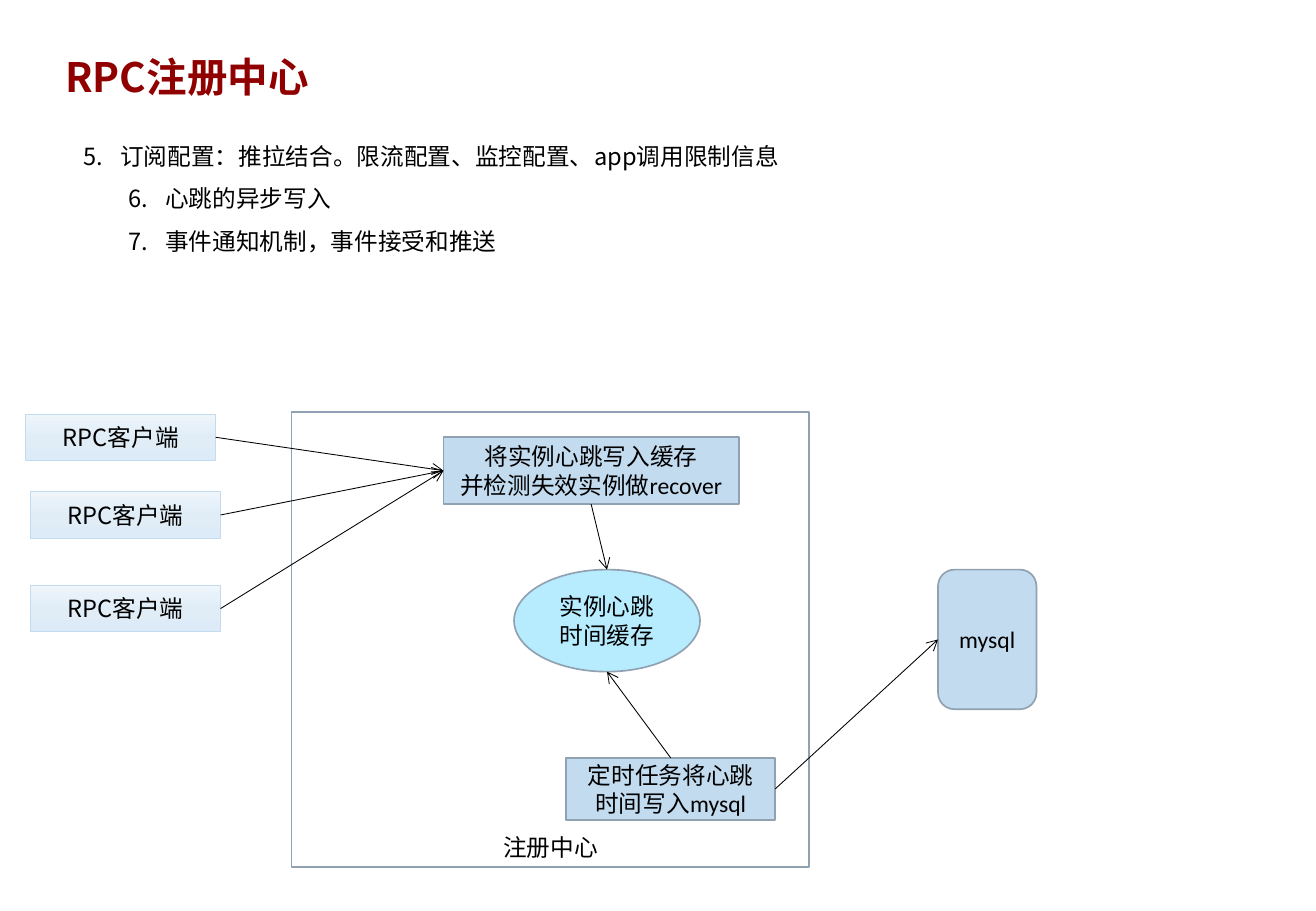
import copy
from dataclasses import dataclass
from typing import Any, Optional

import pptx
import pptx.dml.color
import pptx.enum.dml
import pptx.enum.shapes
import pptx.enum.text
import pptx.oxml
import pptx.oxml.ns
import pptx.util

KIND = pptx.enum.shapes.MSO_SHAPE
ALIGN = pptx.enum.text.PP_ALIGN
ANCHOR = pptx.enum.text.MSO_ANCHOR
TOP, LEFT, BOTTOM, RIGHT = range(4)
WIDE, HIGH = pptx.util.Inches(10.83), pptx.util.Inches(7.5)


@dataclass(frozen=True)
class Theme:
    title: str = "900000"
    ink: str = "000000"
    edge: str = "90A2B1"
    pale: str = "C3DBEF"
    cache: str = "B7ECFF"
    fade: tuple[str, ...] = ("EEF5FB", "E0EDF7", "DCEBF7")
    cjk: str = "Noto Sans CJK SC"
    latin: str = "Calibri"
    head: float = 24
    body: float = 14
    thin: float = 0.5
    line: float = 1


THEME = Theme()


@dataclass(frozen=True)
class Area:
    """Left, top, width and height in percent of the slide."""
    x: float
    y: float
    w: float
    h: float

    def emu(self) -> tuple[int, int, int, int]:
        return (round(self.x * WIDE / 100), round(self.y * HIGH / 100),
                round(self.w * WIDE / 100), round(self.h * HIGH / 100))


@dataclass(frozen=True)
class Node:
    name: str
    area: Area
    text: str
    fill: Optional[str] = THEME.pale
    kind: Any = KIND.RECTANGLE
    font: str = THEME.latin
    anchor: Any = ANCHOR.MIDDLE
    client: bool = False


@dataclass(frozen=True)
class Link:
    start: str
    out: int
    end: str
    into: int


# Content: nodes and the arrows between them
CLIENTS = [Node(f"client{i}", Area(x, y, 14.45, 5.07), "RPC客户端", font=THEME.cjk, client=True)
           for i, (x, y) in enumerate([(1.94, 45.47), (2.31, 54), (2.31, 64.27)])]
NODES = CLIENTS + [
    Node("centre", Area(22.16, 45.2, 39.34, 50), "注册中心", fill=None,
         font=THEME.cjk, anchor=ANCHOR.BOTTOM),
    Node("cache", Area(39.06, 62.53, 14.13, 11.2), "实例心跳时间缓存",
         fill=THEME.cache, kind=KIND.OVAL),
    Node("task", Area(43.03, 83.2, 15.88, 6.8), "定时任务将心跳时间写入mysql"),
    Node("mysql", Area(71.28, 62.53, 7.48, 15.33), "mysql", kind=KIND.ROUNDED_RECTANGLE),
    Node("beat", Area(33.7, 48, 22.44, 7.33), "将实例心跳写入缓存\n并检测失效实例做recover"),
]
LINKS = [Link(node.name, RIGHT, "beat", LEFT) for node in CLIENTS] + [
    Link("beat", BOTTOM, "cache", TOP),
    Link("task", TOP, "cache", BOTTOM),
    Link("task", RIGHT, "mysql", LEFT),
]
STEPS = ["5.\t订阅配置：推拉结合。限流配置、监控配置、app调用限制信息",
         "6.\t心跳的异步写入",
         "7.\t事件通知机制，事件接受和推送"]


def rgb(code: str) -> Any:
    return pptx.dml.color.RGBColor.from_string(code)


def style(frame: Any, font: str, size: float, color: str, bold: bool = False) -> None:
    for para in frame.paragraphs:
        for run in para.runs:
            run.font.name, run.font.size = font, pptx.util.Pt(size)
            run.font.bold = bold
            run.font.color.rgb = rgb(color)
            east = pptx.oxml.parse_xml(
                f'<a:ea {pptx.oxml.ns.nsdecls("a")} typeface="{THEME.cjk}"/>')
            run.font._element.append(east)


def add_text(slide: Any, area: Area, text: str) -> Any:
    frame = slide.shapes.add_textbox(*area.emu()).text_frame
    frame.word_wrap = True
    frame.auto_size = pptx.enum.text.MSO_AUTO_SIZE.SHAPE_TO_FIT_TEXT
    frame.text = text
    return frame


def fade(shape: Any) -> None:
    shape.fill.gradient()
    shape.fill.gradient_angle = 270
    stops = shape._element.spPr.find(".//" + pptx.oxml.ns.qn("a:gsLst"))
    stops.insert(1, copy.deepcopy(stops[0]))
    for i, (stop, code) in enumerate(zip(shape.fill.gradient_stops, THEME.fade)):
        stop.position = i / 2
        stop.color.rgb = rgb(code)


def add_node(slide: Any, node: Node) -> Any:
    shape = slide.shapes.add_shape(node.kind, *node.area.emu())
    shape.shadow.inherit = False
    if node.client:
        fade(shape)
    elif node.fill:
        shape.fill.solid()
        shape.fill.fore_color.rgb = rgb(node.fill)
    else:
        shape.fill.background()
    shape.line.color.rgb = rgb(THEME.pale if node.client else THEME.edge)
    shape.line.width = pptx.util.Pt(THEME.thin if node.client else THEME.line)
    frame = shape.text_frame
    frame.word_wrap = True
    frame.vertical_anchor = node.anchor
    frame.text = node.text
    for para in frame.paragraphs:
        para.alignment = ALIGN.CENTER
    style(frame, node.font, THEME.body, THEME.ink)
    return shape


def side(shape: Any, spot: int) -> tuple[int, int]:
    across, down = {TOP: (1, 0), LEFT: (0, 1), BOTTOM: (1, 2), RIGHT: (2, 1)}[spot]
    return shape.left + shape.width * across // 2, shape.top + shape.height * down // 2


def add_link(slide: Any, link: Link, shapes: dict[str, Any]) -> None:
    start, end = shapes[link.start], shapes[link.end]
    wire = slide.shapes.add_connector(
        pptx.enum.shapes.MSO_CONNECTOR.STRAIGHT,
        *side(start, link.out), *side(end, link.into))
    wire.begin_connect(start, link.out)
    # An oval numbers its sites differently below the top
    if end.auto_shape_type != KIND.OVAL or link.into == TOP:
        wire.end_connect(end, link.into)
    wire.line.color.rgb = rgb(THEME.ink)
    wire.line.width = pptx.util.Pt(THEME.thin)
    space = pptx.oxml.ns.nsdecls("a")
    wire.line._get_or_add_ln().append(
        pptx.oxml.parse_xml(f'<a:tailEnd {space} type="arrow"/>'))
    wire._element.spPr.append(pptx.oxml.parse_xml(f"<a:effectLst {space}/>"))


def main() -> None:
    deck = pptx.Presentation()
    deck.slide_width, deck.slide_height = WIDE, HIGH
    slide = deck.slides.add_slide(deck.slide_layouts[6])

    # Title
    title = add_text(slide, Area(4.06, 5.07, 65.1, 6.67), "RPC注册中心")
    style(title, THEME.cjk, THEME.head, THEME.title, bold=True)

    # Numbered steps with hanging indents
    steps = add_text(slide, Area(5.45, 13.33, 81.44, 15.47), "\n".join(STEPS))
    hang = pptx.util.Inches(0.3)
    for i, para in enumerate(steps.paragraphs):
        para.line_spacing = 1.5
        props = para._p.get_or_add_pPr()
        props.set("marL", str(hang + (pptx.util.Inches(0.37) if i else 0)))
        props.set("indent", str(-hang))
    style(steps, THEME.cjk, THEME.body, THEME.ink)

    # Diagram
    shapes = {node.name: add_node(slide, node) for node in NODES}
    for link in LINKS:
        add_link(slide, link, shapes)

    deck.save("out.pptx")


if __name__ == "__main__":
    main()
